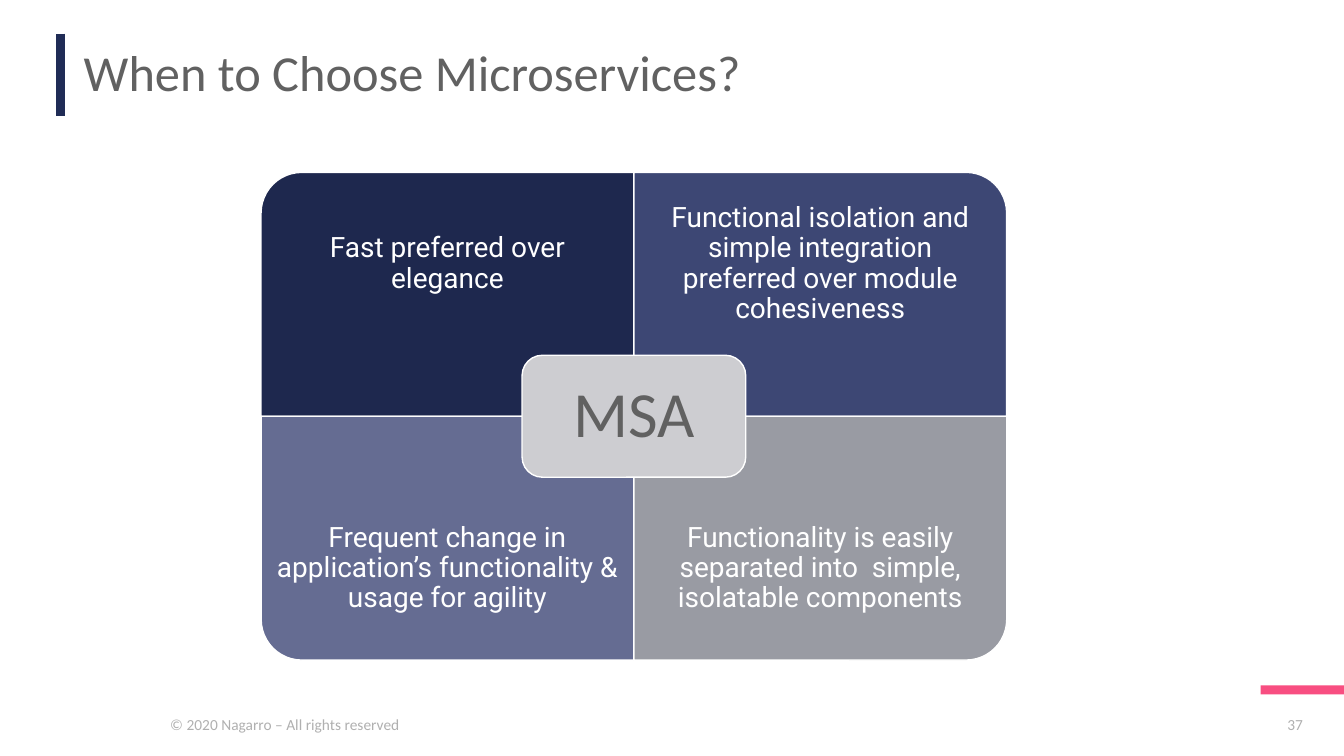
from dataclasses import dataclass

from lxml.etree import SubElement
from pptx import Presentation
from pptx.dml.color import RGBColor
from pptx.enum.shapes import MSO_CONNECTOR, MSO_SHAPE as Preset
from pptx.enum.text import MSO_ANCHOR as Anchor, MSO_AUTO_SIZE, PP_ALIGN as Align
from pptx.oxml.ns import qn
from pptx.util import Pt

WHITE = "FFFFFF"
GREY = "616161"
PALE = "B0B0B0"
LEFT, TOP = 186.5, 123.1
WIDTH, HEIGHT = 266.3, 174.2
LABEL_HEIGHT = 0.75 * HEIGHT


@dataclass
class Area:
    left: float
    top: float
    width: float
    height: float

    def lengths(self) -> list:
        return [Pt(value) for value in (self.left, self.top, self.width, self.height)]


@dataclass
class Style:
    size: float
    color: str
    font: str = "Calibri"
    align: Align = Align.LEFT
    anchor: Anchor = Anchor.TOP
    spacing: float = 1.0
    inset_x: float = 7.2
    inset_y: float = 3.6
    wrap: bool = True


@dataclass
class Quadrant:
    column: int
    row: int
    rotation: int
    fill: str
    text: str


QUADRANTS = [
    Quadrant(0, 0, 270, "1E284E", "Fast preferred over elegance"),
    Quadrant(1, 0, 0, "3D4774",
             "Functional isolation and simple integration preferred over module cohesiveness"),
    Quadrant(0, 1, 180, "656C92",
             "Frequent change in application’s functionality & usage for agility"),
    Quadrant(1, 1, 90, "999BA3",
             "Functionality is easily separated into  simple, isolatable components"),
]

TITLE = Style(36, GREY, anchor=Anchor.MIDDLE, spacing=0.9)
FOOTER = Style(11, PALE, wrap=False)
NUMBER = Style(11, PALE, align=Align.CENTER)
LABEL = Style(20, WHITE, "Roboto", Align.CENTER, Anchor.MIDDLE, 0.9, 11.2, 11.2)
CENTER = Style(46, GREY, "Calibri", Align.CENTER, Anchor.MIDDLE, 0.9, 13.8, 13.8)


def color(code: str) -> RGBColor:
    return RGBColor.from_string(code)


def apply(target, values: dict) -> None:
    for name, value in values.items():
        setattr(target, name, value)


def write(shape, text: str, style: Style) -> None:
    frame = shape.text_frame
    frame.text = text
    apply(frame, {
        "word_wrap": style.wrap, "auto_size": MSO_AUTO_SIZE.NONE,
        "vertical_anchor": style.anchor,
        "margin_left": Pt(style.inset_x), "margin_right": Pt(style.inset_x),
        "margin_top": Pt(style.inset_y), "margin_bottom": Pt(style.inset_y),
    })
    para = frame.paragraphs[0]
    apply(para, {"alignment": style.align, "line_spacing": style.spacing})
    span = para.runs[0]
    apply(span.font, {"size": Pt(style.size), "name": style.font})
    span.font.color.rgb = color(style.color)


def add_text(page, area: Area, text: str, style: Style) -> None:
    write(page.shapes.add_textbox(*area.lengths()), text, style)


def add_block(page, preset: Preset, area: Area, fill: str, outlined: bool = True):
    shape = page.shapes.add_shape(preset, *area.lengths())
    shape.shadow.inherit = False
    shape.fill.solid()
    shape.fill.fore_color.rgb = color(fill)
    if outlined:
        shape.line.color.rgb = color(WHITE)
        shape.line.width = Pt(1)
    else:
        shape.line.fill.background()
    return shape


def add_quadrant(page, item: Quadrant) -> None:
    left, top = LEFT + item.column * WIDTH, TOP + item.row * HEIGHT
    area = Area(left, top, WIDTH, HEIGHT)
    if item.rotation % 180:
        shift = (WIDTH - HEIGHT) / 2
        area = Area(left + shift, top - shift, HEIGHT, WIDTH)
    shape = add_block(page, Preset.ROUND_1_RECTANGLE, area, item.fill)
    shape.rotation = item.rotation
    label_top = top + item.row * (HEIGHT - LABEL_HEIGHT)
    add_text(page, Area(left, label_top, WIDTH, LABEL_HEIGHT), item.text, LABEL)


def add_title_bar(page) -> None:
    bar = page.shapes.add_connector(
        MSO_CONNECTOR.STRAIGHT, Pt(43.2), Pt(24), Pt(43.2), Pt(82.8))
    bar.line.color.rgb = color("202C56")
    bar.line.width = Pt(6)
    SubElement(bar._element.spPr, qn("a:effectLst"))


def add_center(page) -> None:
    width, height = 0.6 * WIDTH, 0.5 * HEIGHT
    area = Area(LEFT + WIDTH - width / 2, TOP + HEIGHT - height / 2, width, height)
    shape = add_block(page, Preset.ROUNDED_RECTANGLE, area, "CDCDD1")
    write(shape, "MSA", CENTER)


def main() -> None:
    deck = Presentation()
    apply(deck, {"slide_width": Pt(960), "slide_height": Pt(540)})
    page = deck.slides.add_slide(deck.slide_layouts[5])

    title = page.shapes.title
    apply(title, dict(zip(("left", "top", "width", "height"),
                          Area(52.6, 30.2, 818, 46.8).lengths())))
    write(title, "When to Choose Microservices?", TITLE)

    add_block(page, Preset.RECTANGLE, Area(900.5, 489.6, 59.5, 6.5), "F84E81", False)
    add_text(page, Area(114.5, 506.9, 178.6, 20.9),
             "© 2020 Nagarro – All rights reserved", FOOTER)
    add_title_bar(page)
    add_text(page, Area(901.4, 506.9, 47.5, 20.9), "37", NUMBER)
    for item in QUADRANTS:
        add_quadrant(page, item)
    add_center(page)
    deck.save("out.pptx")


if __name__ == "__main__":
    main()
